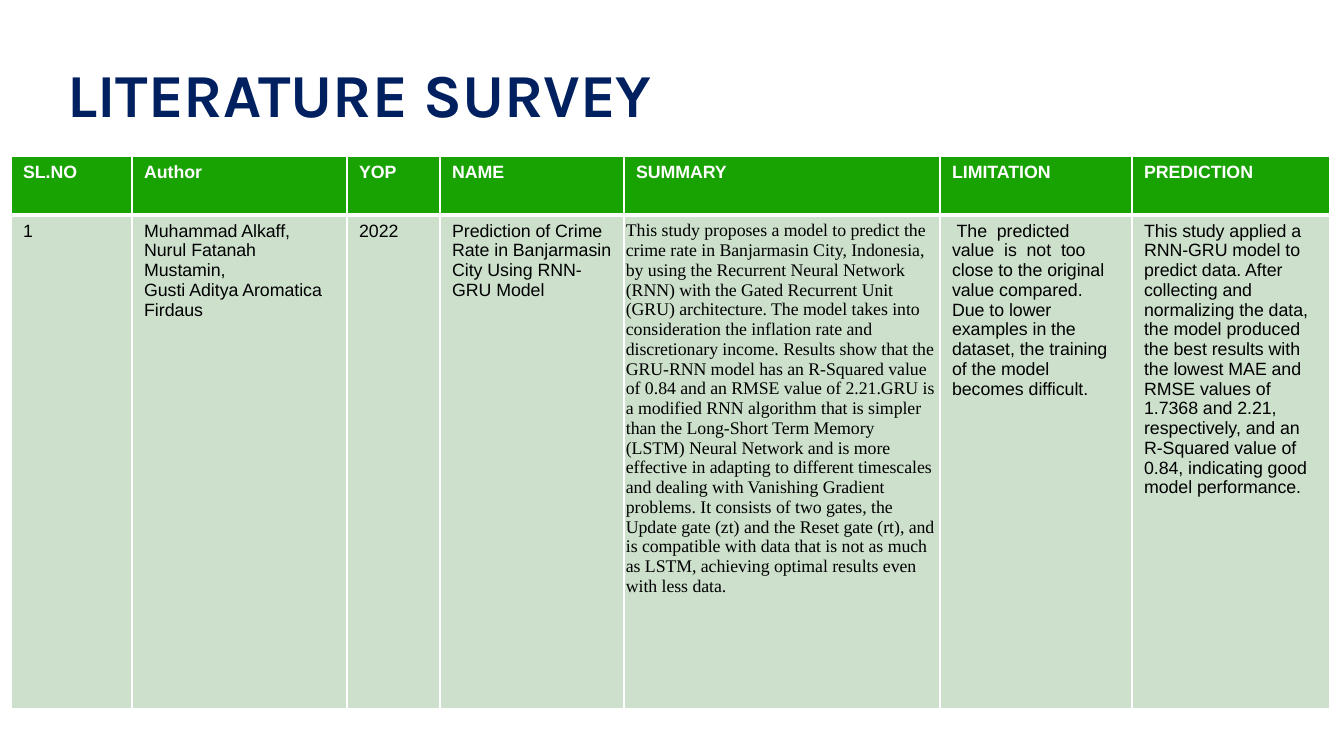
import pptx
import pptx.dml.color
import pptx.enum.text
import pptx.oxml
import pptx.oxml.ns
import pptx.util

NAVY = pptx.dml.color.RGBColor(0x00, 0x20, 0x60)
GREEN = pptx.dml.color.RGBColor(0x18, 0xA3, 0x03)
PALE_GREEN = pptx.dml.color.RGBColor(0xCC, 0xE0, 0xCC)
WHITE = pptx.dml.color.RGBColor(0xFF, 0xFF, 0xFF)
BLACK = pptx.dml.color.RGBColor(0x00, 0x00, 0x00)

PX_PER_INCH = 122
THIN, THICK = 0.96, 3

HEADERS = ["SL.NO", "Author", "YOP", "NAME", "SUMMARY", "LIMITATION", "PREDICTION"]
SUMMARY_COLUMN = HEADERS.index("SUMMARY")
STUDY = [
    "1",
    "Muhammad Alkaff, \nNurul Fatanah Mustamin, \nGusti Aditya Aromatica Firdaus",
    "2022",
    "Prediction of Crime Rate in Banjarmasin City Using RNN-GRU Model",
    "This study proposes a model to predict the crime rate in Banjarmasin City, "
    "Indonesia, by using the Recurrent Neural Network (RNN) with the Gated Recurrent "
    "Unit (GRU) architecture. The model takes into consideration the inflation rate "
    "and discretionary income. Results show that the GRU-RNN model has an R-Squared "
    "value of 0.84 and an RMSE value of 2.21.GRU is a modified RNN algorithm that is "
    "simpler than the Long-Short Term Memory (LSTM) Neural Network and is more "
    "effective in adapting to different timescales and dealing with Vanishing "
    "Gradient problems. It consists of two gates, the Update gate (zt) and the Reset "
    "gate (rt), and is compatible with data that is not as much as LSTM, achieving "
    "optimal results even with less data.",
    " The  predicted  value  is  not  too close to the original value compared. "
    "Due to lower examples in the dataset, the training of the model becomes difficult.",
    "This study applied a RNN-GRU model to predict data. After collecting and "
    "normalizing the data, the model produced the best results with the lowest MAE "
    "and RMSE values of 1.7368 and 2.21, respectively, and an R-Squared value of "
    "0.84, indicating good model performance.",
]
COLUMN_WIDTHS = [121, 215, 93, 184, 316, 192, 198]
ROW_HEIGHTS = [59, 494]


def px(n):
    return pptx.util.Emu(round(n * 914400 / PX_PER_INCH))


def write_text(tf, text, font="Arial", size=10.5, color=BLACK, bold=False):
    tf.word_wrap = True
    p = tf.paragraphs[0]
    p.text = text
    p.alignment = pptx.enum.text.PP_ALIGN.LEFT
    for r in p.runs:
        r.font.name = font
        r.font.size = pptx.util.Pt(size)
        r.font.bold = bold
        r.font.color.rgb = color


class SlideBuilder:
    def __init__(self, prs):
        self.slide = prs.slides.add_slide(prs.slide_layouts[5])

    def title(self, text, left, top, width, height):
        sp = self.slide.shapes.title
        sp.left, sp.top, sp.width, sp.height = map(px, (left, top, width, height))
        tf = sp.text_frame
        tf.margin_left = tf.margin_top = tf.margin_right = tf.margin_bottom = 0
        tf.vertical_anchor = pptx.enum.text.MSO_ANCHOR.MIDDLE
        tf.auto_size = pptx.enum.text.MSO_AUTO_SIZE.NONE
        write_text(tf, text, font="Karla", size=36, color=NAVY, bold=True)

    def borders(self, cell, top, bottom):
        tcPr = cell._tc.get_or_add_tcPr()
        for side, width in (("L", THIN), ("R", THIN), ("T", top), ("B", bottom)):
            tcPr.append(pptx.oxml.parse_xml(
                f'<a:ln{side} {pptx.oxml.ns.nsdecls("a")} w="{pptx.util.Pt(width)}">'
                f'<a:solidFill><a:srgbClr val="{WHITE}"/></a:solidFill></a:ln{side}>'))

    def cell(self, cell, text, fill, top=THIN, bottom=THIN, **style):
        self.borders(cell, top, bottom)
        cell.fill.solid()
        cell.fill.fore_color.rgb = fill
        write_text(cell.text_frame, text, **style)

    def table(self, left, top, widths, heights):
        table = self.slide.shapes.add_table(
            len(heights), len(widths), px(left), px(top),
            px(sum(widths)), px(sum(heights))).table
        for column, width in zip(table.columns, widths):
            column.width = px(width)
        for row, height in zip(table.rows, heights):
            row.height = px(height)
        return table


def main():
    prs = pptx.Presentation()
    prs.slide_width, prs.slide_height = px(1344), px(756)
    s = SlideBuilder(prs)
    s.title("LITERATURE SURVEY", 67, 30, 1210, 126)
    table = s.table(11, 156, COLUMN_WIDTHS, ROW_HEIGHTS)
    for i, (header, text) in enumerate(zip(HEADERS, STUDY)):
        s.cell(table.cell(0, i), header, GREEN, bottom=THICK, color=WHITE, bold=True)
        font = "Times New Roman" if i == SUMMARY_COLUMN else "Arial"
        s.cell(table.cell(1, i), text, PALE_GREEN, top=THICK, font=font)
    summary = table.cell(1, SUMMARY_COLUMN)
    summary.margin_left = summary.margin_right = px(2)
    prs.save("out.pptx")


if __name__ == "__main__":
    main()
